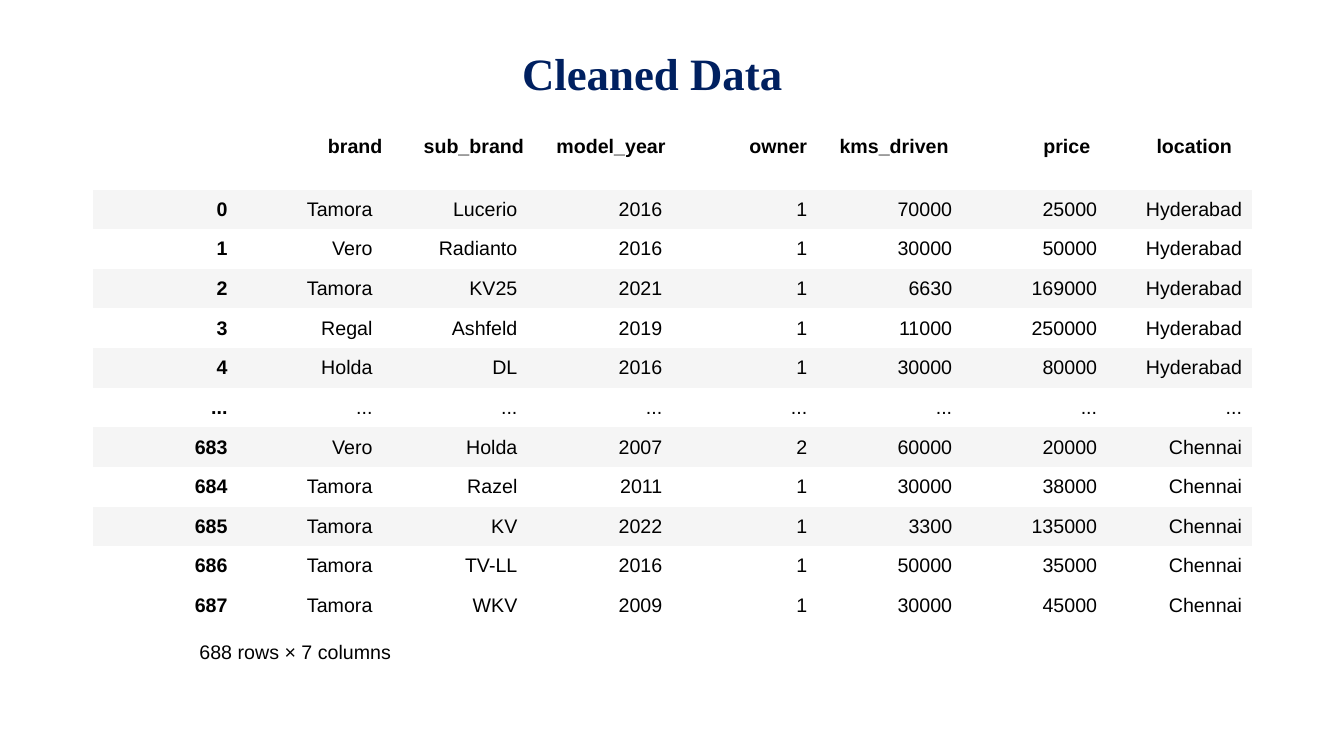
from dataclasses import dataclass

from pptx import Presentation
from pptx import util as u
from pptx.dml.color import RGBColor
from pptx.enum import text
from pptx.oxml.ns import qn

SLIDE_WIDTH, SLIDE_HEIGHT = u.Inches(13.33), u.Inches(7.5)
PLAIN_TABLE_STYLE = "{2D5ABB26-0587-4C30-8999-92F81FD0307C}"
NAVY, BLACK, WHITE, STRIPE = "002060", "000000", "FFFFFF", "F5F5F5"


@dataclass(frozen=True)
class Box:
    """Place and size in percent of the slide."""
    left: float
    top: float
    width: float
    height: float

    def emu(self) -> tuple[int, int, int, int]:
        return (int(SLIDE_WIDTH * self.left / 100), int(SLIDE_HEIGHT * self.top / 100),
                int(SLIDE_WIDTH * self.width / 100), int(SLIDE_HEIGHT * self.height / 100))


@dataclass(frozen=True)
class TextStyle:
    size: int = 14
    font: str = "Arial"
    color: str = BLACK
    bold: bool = False


BODY = TextStyle()
BOLD = TextStyle(bold=True)
TITLE = TextStyle(32, "Times New Roman", NAVY, True)


@dataclass(frozen=True)
class DataTable:
    box: Box
    rows: list[list[str]]
    fills: list[str]
    bold_columns: int


HEADER = DataTable(
    Box(18.68, 17.2, 73.74, 4.4),
    [["brand", "sub_brand", "model_year", "owner", "kms_driven", "price", "location"]],
    [WHITE], bold_columns=7)

RECORDS = DataTable(
    Box(6.9, 25.07, 86.27, 57.73),
    [
        ["0", "Tamora", "Lucerio", "2016", "1", "70000", "25000", "Hyderabad"],
        ["1", "Vero", "Radianto", "2016", "1", "30000", "50000", "Hyderabad"],
        ["2", "Tamora", "KV25", "2021", "1", "6630", "169000", "Hyderabad"],
        ["3", "Regal", "Ashfeld", "2019", "1", "11000", "250000", "Hyderabad"],
        ["4", "Holda", "DL", "2016", "1", "30000", "80000", "Hyderabad"],
        ["..."] * 8,
        ["683", "Vero", "Holda", "2007", "2", "60000", "20000", "Chennai"],
        ["684", "Tamora", "Razel", "2011", "1", "30000", "38000", "Chennai"],
        ["685", "Tamora", "KV", "2022", "1", "3300", "135000", "Chennai"],
        ["686", "Tamora", "TV-LL", "2016", "1", "50000", "35000", "Chennai"],
        ["687", "Tamora", "WKV", "2009", "1", "30000", "45000", "Chennai"],
    ],
    [STRIPE, WHITE] * 5 + [WHITE], bold_columns=1)


def rgb(color: str) -> RGBColor:
    return RGBColor.from_string(color)


def write(frame, words: str, style: TextStyle, align=text.PP_ALIGN.LEFT) -> None:
    paragraph = frame.paragraphs[0]
    paragraph.alignment = align
    run = paragraph.add_run()
    run.text = words
    run.font.size = u.Pt(style.size)
    run.font.name = style.font
    run.font.bold = style.bold
    run.font.color.rgb = rgb(style.color)


def place(shape, box: Box) -> None:
    shape.left, shape.top, shape.width, shape.height = box.emu()


def draw_table(slide, data: DataTable) -> None:
    row_count, column_count = len(data.rows), len(data.rows[0])
    table = slide.shapes.add_table(row_count, column_count, *data.box.emu()).table
    table.first_row = table.horz_banding = False
    table._tbl.tblPr.find(qn("a:tableStyleId")).text = PLAIN_TABLE_STYLE
    for row, (values, fill) in enumerate(zip(data.rows, data.fills)):
        for column, value in enumerate(values):
            cell = table.cell(row, column)
            cell.fill.solid()
            cell.fill.fore_color.rgb = rgb(fill)
            cell.vertical_anchor = text.MSO_ANCHOR.MIDDLE
            style = BOLD if column < data.bold_columns else BODY
            write(cell.text_frame, value, style, text.PP_ALIGN.RIGHT)


def main() -> None:
    presentation = Presentation()
    presentation.slide_width, presentation.slide_height = SLIDE_WIDTH, SLIDE_HEIGHT
    slide = presentation.slides.add_slide(presentation.slide_layouts[5])

    # Title
    title = slide.shapes.title
    place(title, Box(37.51, 5.33, 22.06, 8.53))
    title.text_frame.vertical_anchor = text.MSO_ANCHOR.TOP
    title.text_frame.auto_size = text.MSO_AUTO_SIZE.SHAPE_TO_FIT_TEXT
    write(title.text_frame, "Cleaned Data", TITLE, text.PP_ALIGN.CENTER)

    # Records and their column names
    for data in (RECORDS, HEADER):
        draw_table(slide, data)

    # Row and column count
    note = slide.shapes.add_textbox(*Box(14.1, 84, 50.04, 4.53).emu())
    note.text_frame.word_wrap = True
    note.text_frame.auto_size = text.MSO_AUTO_SIZE.SHAPE_TO_FIT_TEXT
    write(note.text_frame, "688 rows × 7 columns", BODY)

    presentation.save("out.pptx")


if __name__ == "__main__":
    main()
